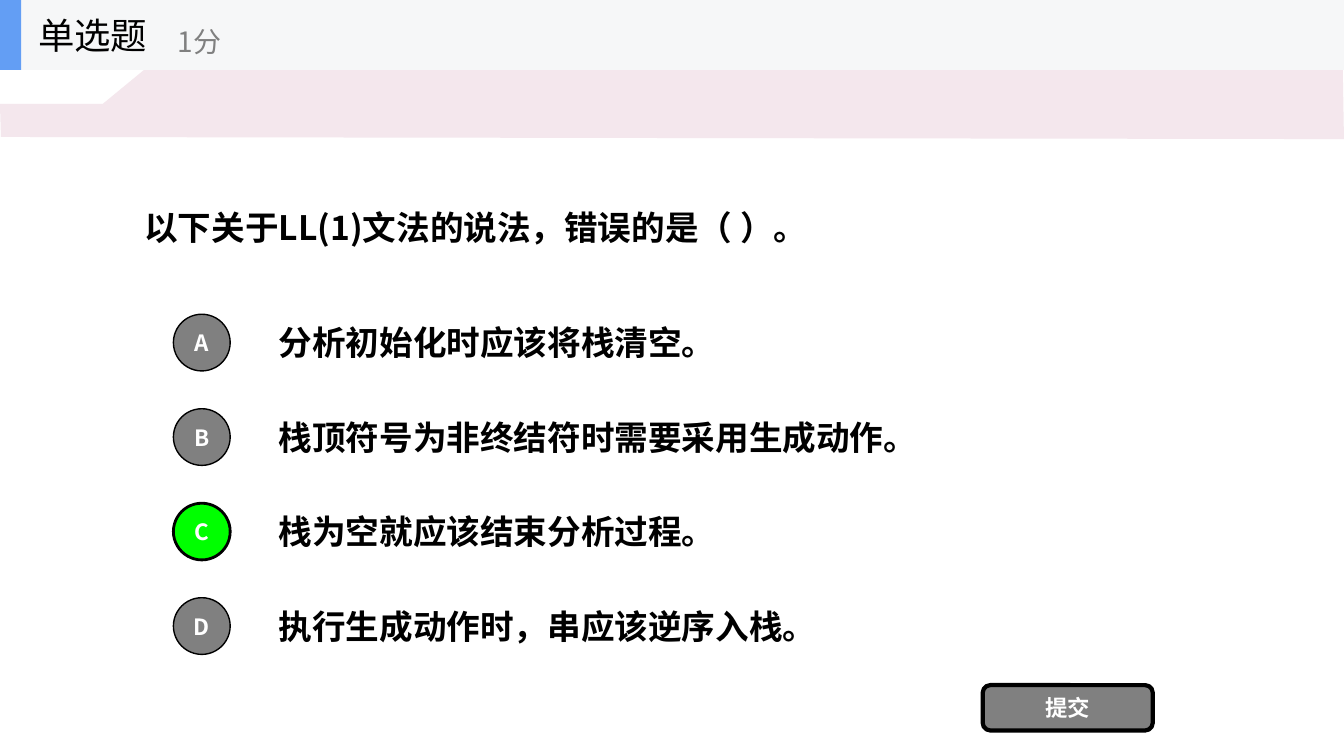
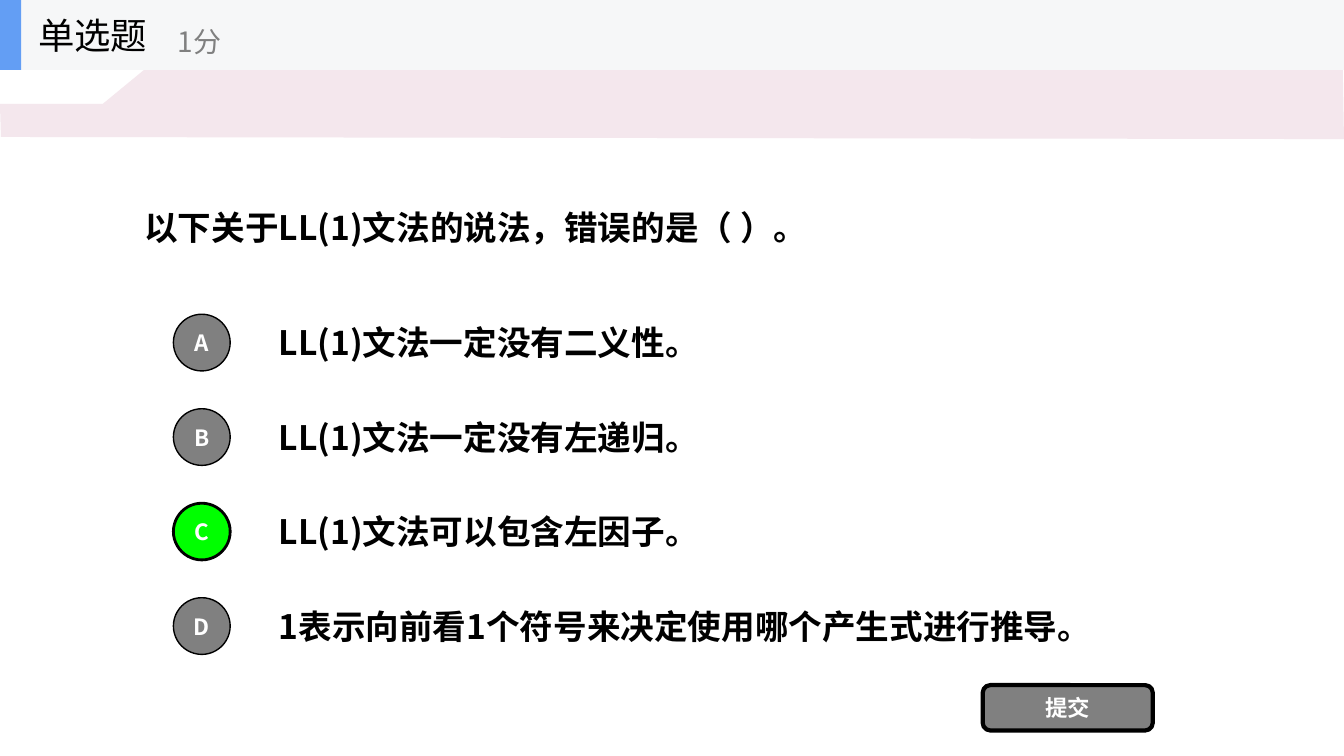
from dataclasses import dataclass

from lxml.etree import SubElement
from pptx import Presentation
from pptx.dml.color import RGBColor
from pptx.enum.shapes import MSO_SHAPE
from pptx.enum.text import MSO_ANCHOR, PP_ALIGN
from pptx.oxml.ns import qn
from pptx.util import Inches, Pt

COLS, ROWS = 40, 32


@dataclass(frozen=True)
class Theme:
    font: str = "Noto Sans CJK SC"
    ink: str = "000000"
    white: str = "FFFFFF"
    grey: str = "808080"
    right_answer: str = "00FF00"
    header: str = "F6F7F8"
    accent: str = "639EF4"
    band: str = "F4E7ED"
    heading: int = 26
    body: int = 24
    points: int = 20
    label: int = 16


def write(shape, text, *, size, color, font, bold=False, align=PP_ALIGN.LEFT):
    tf = shape.text_frame
    tf.word_wrap = True
    tf.vertical_anchor = MSO_ANCHOR.MIDDLE
    p = tf.paragraphs[0]
    p.alignment = align
    r = p.add_run()
    r.text = text
    r.font.size = Pt(size)
    r.font.bold = bold
    r.font.color.rgb = RGBColor.from_string(color)
    r.font.name = font
    SubElement(r.font._element, qn("a:ea"), typeface=font)
    return tf


class QuizDeck:
    """Draws quiz slides; every length is in grid columns and rows."""

    def __init__(self, theme):
        self.theme = theme
        self.prs = Presentation()
        self.prs.slide_width = Inches(13.333)
        self.prs.slide_height = Inches(7.5)
        self.s = None

    def x(self, cols):
        return round(self.prs.slide_width * cols / COLS)

    def y(self, rows):
        return round(self.prs.slide_height * rows / ROWS)

    def box(self, left, top, width, height):
        return self.x(left), self.y(top), self.x(width), self.y(height)

    def paint(self, shape, fill, line=0):
        shape.shadow.inherit = False
        shape.fill.solid()
        shape.fill.fore_color.rgb = RGBColor.from_string(fill)
        if line:
            shape.line.color.rgb = RGBColor.from_string(self.theme.ink)
            shape.line.width = Pt(line)
        else:
            shape.line.fill.background()

    def shape(self, kind, area, fill, line=0):
        sp = self.s.shapes.add_shape(kind, *self.box(*area))
        self.paint(sp, fill, line)
        return sp

    def text(self, text, area, size, color, bold=False):
        sp = self.s.shapes.add_textbox(*self.box(*area))
        write(sp, text, size=size, color=color, font=self.theme.font, bold=bold)

    def button(self, kind, text, area, fill, line):
        sp = self.shape(kind, area, fill, line)
        tf = write(sp, text, size=self.theme.label, color=self.theme.white,
                   font=self.theme.font, bold=True, align=PP_ALIGN.CENTER)
        tf.margin_left = tf.margin_right = tf.margin_top = tf.margin_bottom = 0

    def band(self):
        outline = [(0, 4.4), (3.06, 4.4), (5.4, 1.66), (15, 1.66),
                   (15.72, 2.56), (39.96, 2.52), (40, 5.89), (0.03, 5.8)]
        points = [(self.x(c), self.y(r)) for c, r in outline]
        builder = self.s.shapes.build_freeform(*points[0])
        builder.add_line_segments(points[1:], close=True)
        self.paint(builder.convert_to_shape(), self.theme.band)

    def header(self, kind, points):
        t, height = self.theme, 2.96
        self.shape(MSO_SHAPE.RECTANGLE, (0, 0, COLS, height), t.header)
        self.shape(MSO_SHAPE.RECTANGLE, (0, 0, 0.63, height), t.accent)
        self.text(kind, (0.84, 0, 6.24, height), t.heading, t.ink)
        self.text(points, (5, 0.53, 7.5, 2.4), t.points, t.grey)

    def option(self, index, letter, text, correct):
        t = self.theme
        top = 13 + 4 * index
        self.text(text, (8, top, 28, 3), t.body, t.ink, bold=True)
        self.button(MSO_SHAPE.OVAL, letter, (5.16, top + 0.3, 1.69, 2.4),
                    t.right_answer if correct else t.grey, 2 if correct else 1)

    def question(self, text, options, answer):
        t = self.theme
        self.s = self.prs.slides.add_slide(self.prs.slide_layouts[6])
        self.band()
        self.text(text, (4, 6.25, 32, 6.75), t.body, t.ink, bold=True)
        for i, (letter, option) in enumerate(zip("ABCD", options)):
            self.option(i, letter, option, letter == answer)
        self.button(MSO_SHAPE.ROUNDED_RECTANGLE, "提交",
                    (29.25, 29, 5.06, 1.92), t.grey, 3)
        self.header("单选题", "1分")


def main():
    deck = QuizDeck(Theme())
    question = "以下关于LL(1)文法的说法，错误的是（ ）。"
    option_sets = [
        ("分析初始化时应该将栈清空。",
         "栈顶符号为非终结符时需要采用生成动作。",
         "栈为空就应该结束分析过程。",
         "执行生成动作时，串应该逆序入栈。"),
        ("LL(1)文法一定没有二义性。",
         "LL(1)文法一定没有左递归。",
         "LL(1)文法可以包含左因子。",
         "1表示向前看1个符号来决定使用哪个产生式进行推导。"),
    ]
    for options in option_sets:
        deck.question(question, options, answer="C")
    deck.prs.save("out.pptx")


if __name__ == "__main__":
    main()
